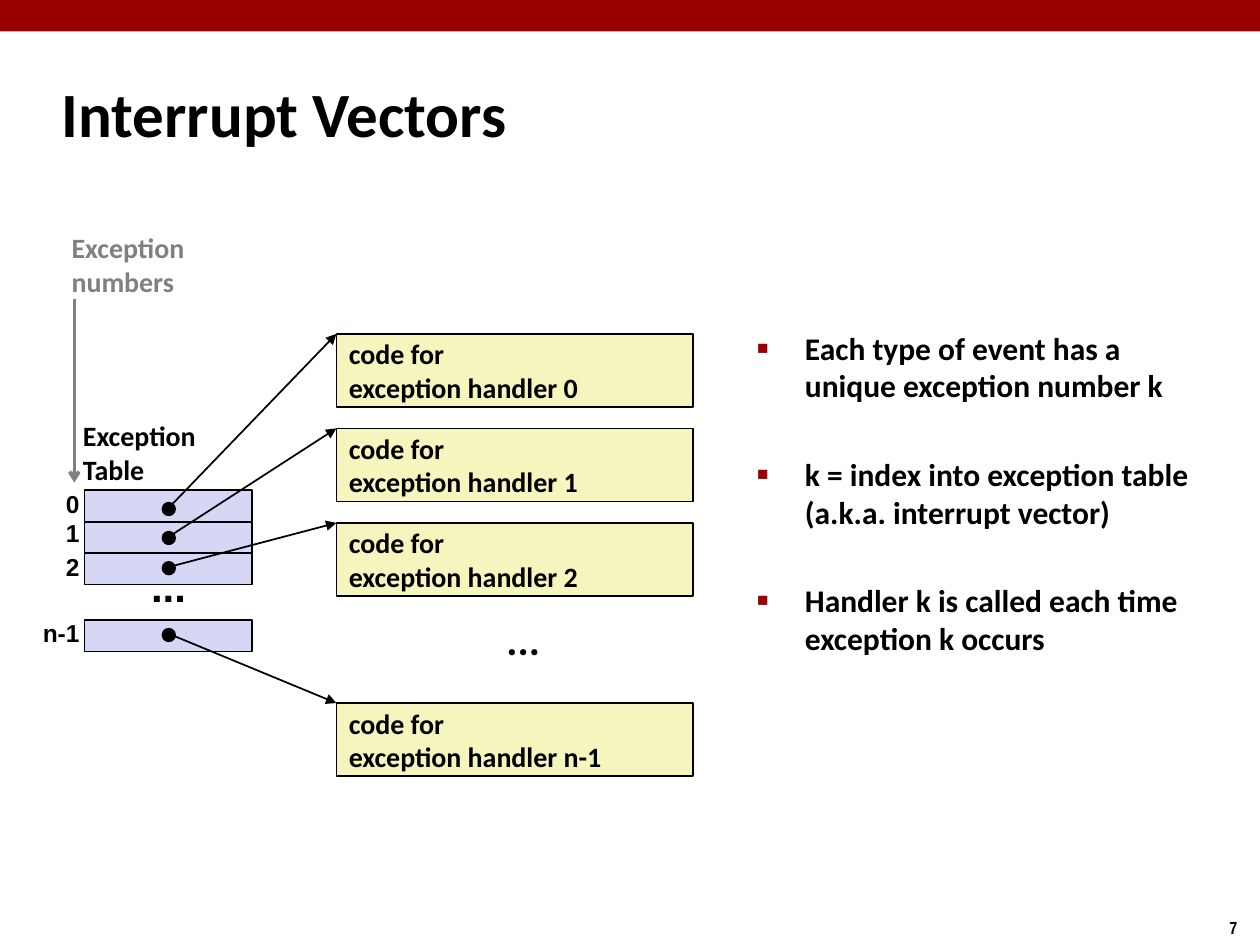
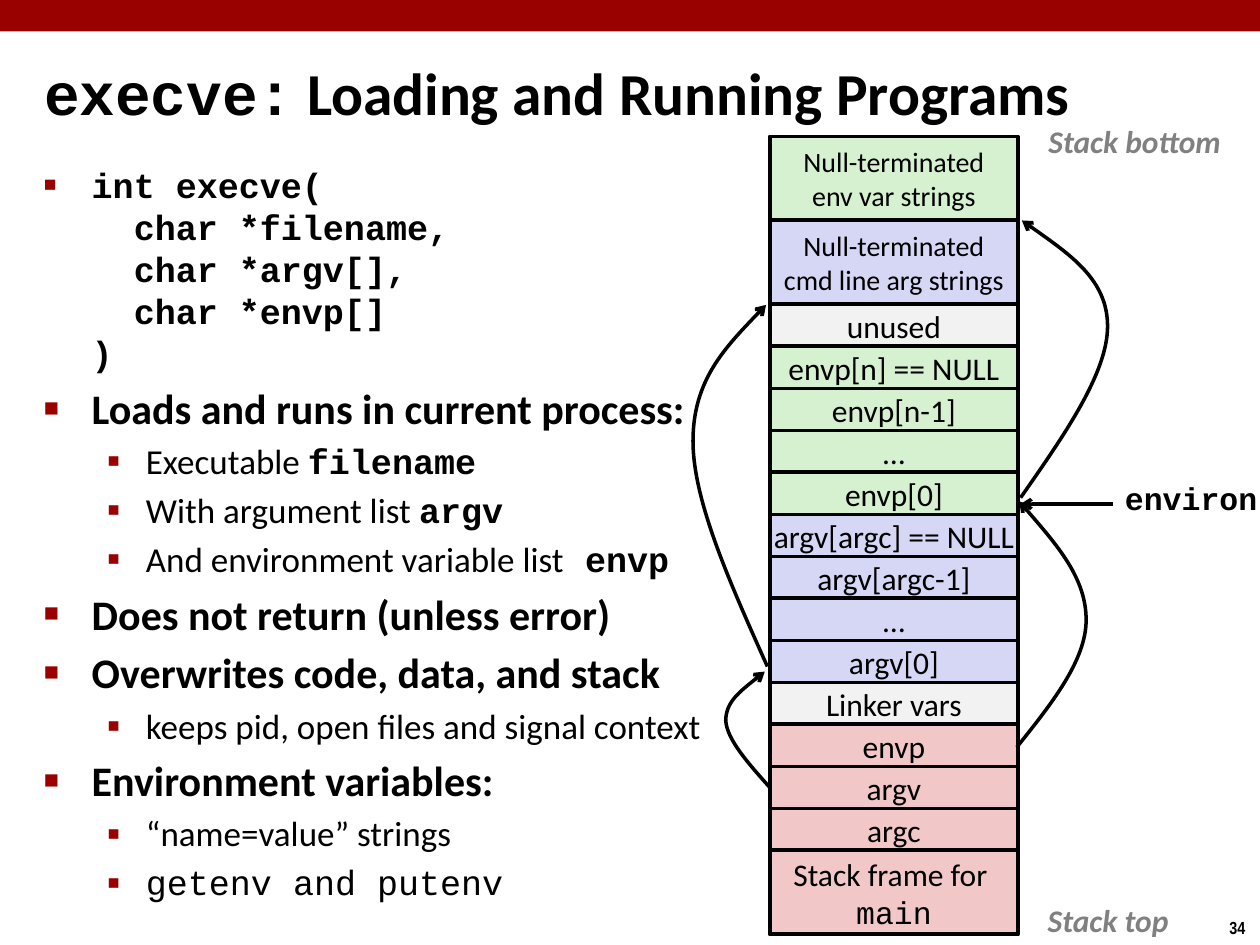
import lxml.etree
import pptx
import pptx.dml.color
import pptx.enum.shapes
import pptx.enum.text
import pptx.oxml.ns
import pptx.util

Inches = pptx.util.Inches
Pt = pptx.util.Pt
ALIGN = pptx.enum.text.PP_ALIGN
ANCHOR = pptx.enum.text.MSO_ANCHOR
SHAPE = pptx.enum.shapes.MSO_SHAPE
COLORS = {
    "black": "000000",
    "red": "990000",
    "gray": "808080",
    "lavender": "D6D6F5",
    "yellow": "F6F5BD",
    "green": "D5F1CF",
    "pale": "F2F2F2",
    "pink": "F1C7C7",
}
SANS = "Calibri"
MONO = "Courier New"
BULLETS = [
    {"symbol": "■", "scale": 60, "margin": 0.38, "hang": 0.38},
    {"symbol": "▪", "scale": 110, "margin": 0.81, "hang": 0.31},
]


def rgb(name):
    return pptx.dml.color.RGBColor.from_string(COLORS[name])


def add_xml(parent, tag, **attributes):
    return lxml.etree.SubElement(parent, pptx.oxml.ns.qn(tag), attributes)


def write(paragraph, text, font=SANS, size=18, color="black", bold=False, italic=False):
    for index, line in enumerate(text.split("\n")):
        if index:
            paragraph.add_line_break()
        run = paragraph.add_run()
        run.text = line
        run.font.name = font
        run.font.size = Pt(size)
        run.font.bold = bold
        run.font.italic = italic
        run.font.color.rgb = rgb(color)


class Deck:
    def __init__(self):
        self.presentation = pptx.Presentation()
        self.presentation.slide_width = Inches(10)
        self.presentation.slide_height = Inches(7.5)
        self.slide = None

    def new_slide(self, number, title_box, title_runs, title_size):
        self.slide = self.presentation.slides.add_slide(self.presentation.slide_layouts[5])
        self.box((0, 0, 10, 0.25), "red", line=None)
        self.label((9.66, 7.23, 0.34, 0.27), [number], anchor=ANCHOR.TOP,
                   font="Arial Narrow", size=10, bold=True)
        title = self.slide.shapes.title
        title.left, title.top, title.width, title.height = map(Inches, title_box)
        frame = title.text_frame
        frame.auto_size = pptx.enum.text.MSO_AUTO_SIZE.NONE
        frame.vertical_anchor = ANCHOR.MIDDLE
        paragraph = frame.paragraphs[0]
        paragraph.alignment = ALIGN.LEFT
        for text, font in title_runs:
            write(paragraph, text, font=font, size=title_size, bold=True)

    def fill_frame(self, frame, lines, align=ALIGN.LEFT, anchor=ANCHOR.MIDDLE, **style):
        frame.word_wrap = False
        frame.vertical_anchor = anchor
        for index, line in enumerate(lines):
            paragraph = frame.add_paragraph() if index else frame.paragraphs[0]
            paragraph.alignment = align
            text, font = line if isinstance(line, tuple) else (line, None)
            write(paragraph, text, **(dict(style, font=font) if font else style))

    def label(self, place, lines, **style):
        shape = self.slide.shapes.add_textbox(*map(Inches, place))
        self.fill_frame(shape.text_frame, lines, **style)

    def box(self, place, fill, line=1, lines=(), kind=SHAPE.RECTANGLE, **style):
        shape = self.slide.shapes.add_shape(kind, *map(Inches, place))
        shape.shadow.inherit = False
        shape.fill.solid()
        shape.fill.fore_color.rgb = rgb(fill)
        if line is None:
            shape.line.fill.background()
        else:
            self.stroke(shape, "black", line)
        self.fill_frame(shape.text_frame, lines, **style)

    def stroke(self, shape, color, width, head=None):
        shape.line.color.rgb = rgb(color)
        shape.line.width = Pt(width)
        if head:
            add_xml(shape.line._get_or_add_ln(), "a:tailEnd", type=head)

    def arrow(self, start, end, color="black", width=1.0, head="triangle"):
        connector = self.slide.shapes.add_connector(
            pptx.enum.shapes.MSO_CONNECTOR.STRAIGHT, *map(Inches, start + end))
        self.stroke(connector, color, width, head)
        add_xml(connector._element.spPr, "a:effectLst")

    def curve(self, start, *controls):
        builder = self.slide.shapes.build_freeform(Inches(start[0]), Inches(start[1]))
        builder.add_line_segments([tuple(map(Inches, point)) for point in controls], close=False)
        shape = builder.convert_to_shape()
        segments = shape._element.xpath(".//a:lnTo")
        outline = segments[0].getparent()
        for first in range(0, len(segments), 3):
            bend = add_xml(outline, "a:cubicBezTo")
            for segment in segments[first:first + 3]:
                bend.append(segment[0])
                outline.remove(segment)
        shape.shadow.inherit = False
        shape.fill.background()
        self.stroke(shape, "black", 2, "arrow")

    def bullets(self, place, items):
        frame = self.slide.shapes.add_textbox(*map(Inches, place)).text_frame
        frame.word_wrap = True
        for index, (level, before, runs) in enumerate(items):
            paragraph = frame.add_paragraph() if index else frame.paragraphs[0]
            paragraph.level = level
            if index:
                paragraph.space_before = Pt(before)
            bullet = BULLETS[level]
            properties = paragraph._p.get_or_add_pPr()
            properties.set("marL", str(Inches(bullet["margin"])))
            properties.set("indent", str(-Inches(bullet["hang"])))
            add_xml(add_xml(properties, "a:buClr"), "a:srgbClr", val=COLORS["red"])
            add_xml(properties, "a:buSzPct", val=str(bullet["scale"] * 1000))
            add_xml(properties, "a:buFont", typeface="Arial")
            add_xml(properties, "a:buChar", char=bullet["symbol"])
            for text, style in runs:
                write(paragraph, text, **style)
        return frame


def interrupt_vectors(deck):
    deck.new_slide("7", (0.39, 0.48, 8.3, 0.83), [("Interrupt Vectors", SANS)], 36)
    heading = {"size": 16, "bold": True}
    entries = [
        ("0", 3.83, 3.89, 3.99, 2.65),
        ("1", 4.06, 4.14, 4.22, 3.4),
        ("2", 4.33, 4.39, 4.46, 4.15),
        ("n-1", 4.86, 4.92, 4.99, 5.58),
    ]
    for name, label_top, row_top, dot_top, handler_top in entries:
        deck.box((0.67, row_top, 1.33, 0.25), "lavender")
        deck.label((0.24, label_top, 0.49, 0.33), [name], align=ALIGN.RIGHT,
                   font="Arial", size=14, bold=True)
        deck.box((2.67, handler_top, 2.83, 0.58), "yellow", line=0.75,
                 lines=["code for", f"exception handler {name}"], **heading)
    for name, label_top, row_top, dot_top, handler_top in entries:
        deck.box((1.29, dot_top, 0.1, 0.1), "black", kind=SHAPE.OVAL)
        deck.arrow((1.34, dot_top + 0.04), (2.67, handler_top))
    for left, top, font in ((1.1, 4.4, "Arial"), (3.92, 4.82, SANS)):
        deck.label((left, top, 0.48, 0.5), ["..."], font=font, size=24, bold=True)
    deck.label((0.56, 3.27, 1.11, 0.64), ["Exception", "Table"], **heading)
    deck.label((0.47, 1.78, 1.16, 0.64), ["Exception", "numbers"], color="gray", **heading)
    deck.arrow((0.59, 2.37), (0.59, 3.83), color="gray", width=2, head="arrow")
    facts = [
        "Each type of event has a\nunique exception number k",
        "k = index into exception table\n(a.k.a. interrupt vector)",
        "Handler k is called each time\nexception k occurs",
    ]
    deck.bullets((5.91, 2.56, 3.92, 2.83),
                 [(0, 29, [(fact, {"bold": True})]) for fact in facts])


def execve(deck):
    deck.new_slide("34", (0.25, 0.41, 9.42, 0.63),
                   [("execve:", MONO), (" Loading and Running Programs", SANS)], 34)
    strong = {"size": 24, "bold": True}
    plain = {"size": 20}
    code = {"font": MONO, "size": 20, "bold": True}
    signature = "int execve(\n  char *filename,\n  char *argv[],\n  char *envp[]\n)"

    def point(text):
        return 0, 4.8, [(text, strong)]

    def detail(*runs):
        return 1, 4, runs

    frame = deck.bullets((0.25, 1.25, 5.83, 5.92), [
        (0, 0, [(signature, code)]),
        point("Loads and runs in current process:"),
        detail(("Executable ", plain), ("filename", code)),
        detail(("With argument list ", plain), ("argv", code)),
        detail(("And environment variable list", plain), (" envp", code)),
        point("Does not return (unless error)"),
        point("Overwrites code, data, and stack"),
        detail(("keeps pid, open files and signal context", plain)),
        point("Environment variables:"),
        detail(("“name=value” strings", plain)),
        detail(("getenv and putenv", {"font": MONO, "size": 20})),
    ])
    frame.paragraphs[0].line_spacing = Pt(24)

    stack = [
        ("green", 16, ["Null-terminated", "env var strings"]),
        ("lavender", 16, ["Null-terminated", "cmd line arg strings"]),
        ("pale", 18, ["unused"]),
        ("green", 18, ["envp[n] == NULL"]),
        ("green", 18, ["envp[n-1]"]),
        ("green", 18, ["…"]),
        ("green", 18, ["envp[0]"]),
        ("lavender", 18, ["argv[argc] == NULL"]),
        ("lavender", 18, ["argv[argc-1]"]),
        ("lavender", 18, ["…"]),
        ("lavender", 18, ["argv[0]"]),
        ("pale", 18, ["Linker vars"]),
        ("pink", 18, ["envp"]),
        ("pink", 18, ["argv"]),
        ("pink", 18, ["argc"]),
        ("pink", 18, ["Stack frame for ", ("main", MONO)]),
    ]
    row_height = 1 / 3
    top = 6.75 - 17 * row_height
    for fill, size, lines in stack:
        height = len(lines) * row_height
        deck.box((6.11, top, 1.97, height), fill, line=2.25, lines=lines,
                 align=ALIGN.CENTER, size=size)
        top += height

    deck.curve((6.11, 6.25), (5.94, 6.06), (5.77, 5.87), (5.76, 5.72),
               (5.76, 5.57), (5.92, 5.45), (6.07, 5.33))
    deck.curve((6.09, 5.29), (5.8, 4.64), (5.5, 3.98), (5.5, 3.5),
               (5.5, 3.02), (5.79, 2.72), (6.08, 2.42))
    deck.curve((8.07, 5.93), (8.35, 5.58), (8.62, 5.24), (8.62, 4.92),
               (8.62, 4.59), (8.36, 4.29), (8.09, 3.98))
    deck.curve((8.1, 3.95), (8.45, 3.45), (8.79, 2.96), (8.79, 2.59),
               (8.79, 2.22), (8.45, 1.99), (8.11, 1.75))
    for place, text in (((8.18, 0.92, 1.65, 0.4), "Stack bottom"),
                        ((8.18, 7.1, 1.23, 0.4), "Stack top")):
        deck.label(place, [text], align=ALIGN.CENTER, color="gray", bold=True, italic=True)
    deck.label((8.83, 3.75, 1.26, 0.4), ["environ"], font=MONO, bold=True)
    deck.arrow((8.83, 4), (8.1, 4), width=2, head="arrow")


def main():
    deck = Deck()
    interrupt_vectors(deck)
    execve(deck)
    deck.presentation.save("out.pptx")


if __name__ == "__main__":
    main()
